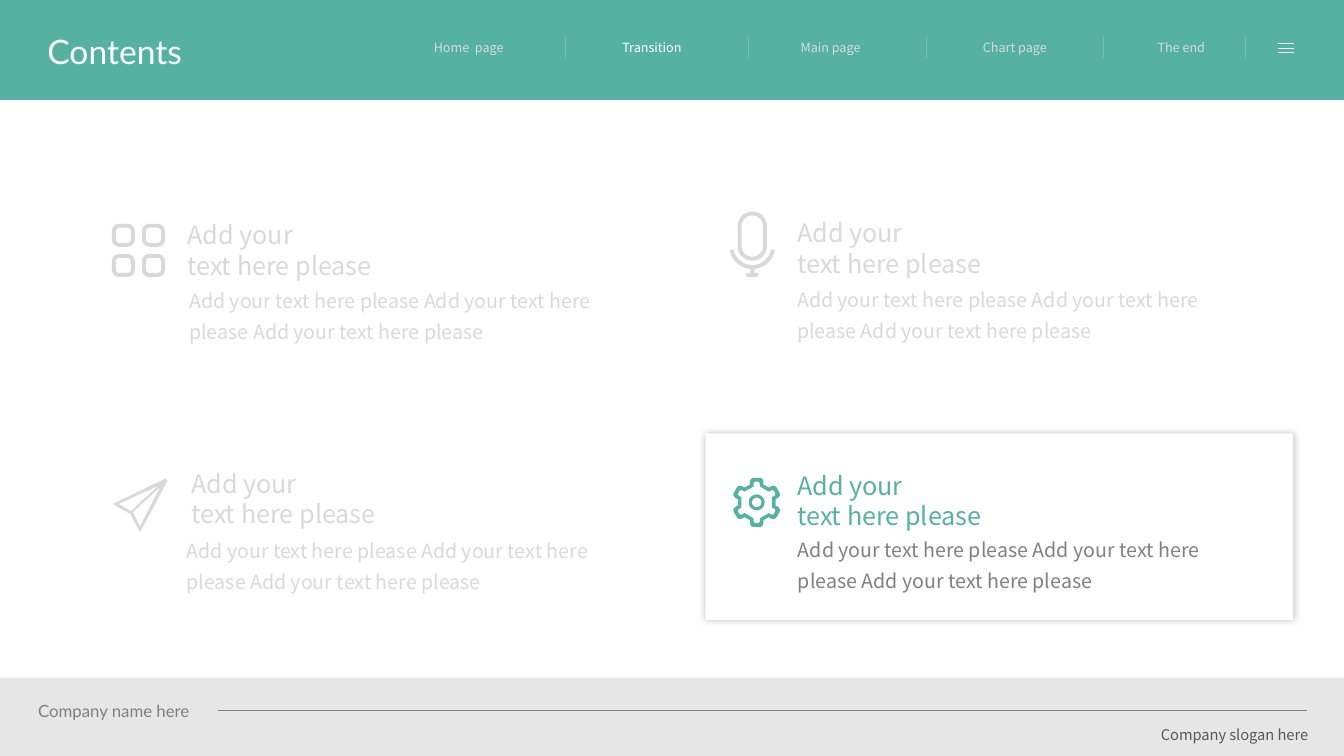
"""Build the Contents slide with four icon cards, a navigation bar and a footer."""
from math import cos, radians, sin

from lxml.etree import SubElement
from pptx import Presentation
from pptx.dml.color import RGBColor
from pptx.enum.shapes import MSO_CONNECTOR, MSO_SHAPE
from pptx.enum.text import MSO_ANCHOR, MSO_AUTO_SIZE, PP_ALIGN
from pptx.oxml.ns import qn
from pptx.util import Cm, Pt

TEAL = RGBColor(0x55, 0xB2, 0xA0)
PALE_TEAL = RGBColor(0x78, 0xC2, 0xB4)
WHITE = RGBColor(0xFF, 0xFF, 0xFF)
SILVER = RGBColor(0xD9, 0xD9, 0xD9)
LIGHT = RGBColor(0xE6, 0xE6, 0xE6)
GREY = RGBColor(0x80, 0x80, 0x80)
DARK = RGBColor(0x59, 0x59, 0x59)
SANS, LATO = "Noto Sans CJK SC", "Lato"
SLIDE_W, SLIDE_H = 33.87, 19.05
BAND_H, FOOTER_TOP = 2.52, 17.09

HEADING = ["Add your", "text here please"]
BODY = ["Add your text here please Add your text here please Add your text here please"]
CARDS = [
    ("grid", (4.47, 5.41, 9.7), (4.52, 6.99, 11.68), SILVER, SILVER),
    ("microphone", (19.84, 5.36, 5.69), (19.84, 6.96, 11.25), SILVER, SILVER),
    ("plane", (4.57, 11.68, 5.69), (4.45, 13.28, 11.25), SILVER, SILVER),
    ("gear", (19.84, 11.73, 5.69), (19.86, 13.26, 11.71), TEAL, GREY),
]
NAV = [
    ("Home  page", 9.98, 3.66, 14.25),
    ("Transition", 14.73, 3.4, 18.85),
    ("Main page", 19.23, 3.4, 23.34),
    ("Chart page", 23.72, 3.71, 27.81),
    ("The end", 28.55, 2.44, 31.39),
]
ACTIVE = "Transition"
PLANE = [
    [(2.84, 12.7), (4.17, 12.06), (4.22, 12.12), (3.53, 13.41), (3.28, 12.95)],
    [(3, 12.7), (3.99, 12.24), (3.3, 12.88)],
    [(3.53, 13.26), (3.35, 12.9), (4.04, 12.27)],
]
TOOTH_OUTER = [(0.08, -0.62), (0.14, -0.6), (0.17, -0.53), (0.17, -0.45)]
TOOTH_INNER = [(0.05, -0.52), (0.08, -0.48), (0.08, -0.4)]


def arc(cx, cy, r, start, end, steps=10):
    """Return points along an arc, with angles in degrees."""
    angles = [radians(start + (end - start) * i / steps) for i in range(steps + 1)]
    return [(cx + r * cos(a), cy + r * sin(a)) for a in angles]


def rounded(x, y, w, h, r):
    """Return the outline of a rounded rectangle."""
    corners = [(x + w - r, y + h - r), (x + r, y + h - r), (x + r, y + r), (x + w - r, y + r)]
    return [p for i, c in enumerate(corners) for p in arc(*c, r, 90 * i, 90 * i + 90)]


def ring(x, y, w, h, r, inset=0.1):
    """Return the two outlines of a rounded frame."""
    inner = rounded(x + inset, y + inset, w - 2 * inset, h - 2 * inset, r - inset)
    return [rounded(x, y, w, h, r), inner]


def cog(cx, cy, half_tooth):
    """Return a six-toothed outline built from half of one tooth."""
    tooth = [(-x, y) for x, y in reversed(half_tooth)] + half_tooth
    turns = [radians(60 * i) for i in range(6)]
    return [(cx + x * cos(a) - y * sin(a), cy + x * sin(a) + y * cos(a))
            for a in turns for x, y in tooth]


def icon_outlines():
    """Return the outlines of every icon by name."""
    mid, cy = 18.96, 6.2
    gear = 19.07, 12.66
    cradle = arc(mid, cy, 0.58, 10, 170, 24) + arc(mid, cy, 0.48, 170, 10, 24)
    stem = [(mid - 0.05, 6.78), (mid + 0.05, 6.78), (mid + 0.05, 6.88), (mid - 0.05, 6.88)]
    return {
        "grid": [o for x in (2.82, 3.58) for y in (5.64, 6.4)
                 for o in ring(x, y, 0.58, 0.58, 0.19)],
        "microphone": ring(mid - 0.37, 5.33, 0.74, 1.24, 0.37)
        + [cradle, stem, rounded(mid - 0.16, 6.88, 0.32, 0.1, 0.05)],
        "plane": PLANE,
        "gear": [cog(*gear, TOOTH_OUTER), cog(*gear, TOOTH_INNER),
                 arc(*gear, 0.2, 0, 360, 32), arc(*gear, 0.12, 0, 360, 32)],
    }


def add_icon(s, outlines, color):
    """Draw outlines as one filled freeform."""
    paths = [[(Cm(x), Cm(y)) for x, y in outline] for outline in outlines]
    fb = s.shapes.build_freeform(*paths[0][0])
    for i, pts in enumerate(paths):
        if i:
            fb.move_to(*pts[0])
        fb.add_line_segments(pts[1:], close=True)
    paint(fb.convert_to_shape(), color)


def paint(sp, color):
    """Give a shape a flat fill without line or shadow."""
    sp.fill.solid()
    sp.fill.fore_color.rgb = color
    sp.line.fill.background()
    sp.shadow.inherit = False


def add_rect(s, x, y, w, h, color):
    """Add a flat rectangle."""
    sp = s.shapes.add_shape(MSO_SHAPE.RECTANGLE, Cm(x), Cm(y), Cm(w), Cm(h))
    paint(sp, color)
    return sp


def add_glow(sp):
    """Add a soft grey shadow around a shape."""
    effects = sp.element.spPr.find(qn("a:effectLst"))
    shadow = SubElement(effects, qn("a:outerShdw"), blurRad=str(Pt(5)), dist="0", dir="0",
                        algn="ctr", rotWithShape="0")
    SubElement(shadow, qn("a:srgbClr"), val="BFBFBF")


def add_line(s, x1, y1, x2, y2, color):
    """Add a thin straight line."""
    ln = s.shapes.add_connector(MSO_CONNECTOR.STRAIGHT, Cm(x1), Cm(y1), Cm(x2), Cm(y2))
    ln.line.color.rgb = color
    ln.line.width = Pt(0.5)
    SubElement(ln.element.spPr, qn("a:effectLst"))


def write(sp, lines, size, color, font=SANS, align=PP_ALIGN.LEFT, spacing=None):
    """Fill a shape with formatted paragraphs."""
    tf = sp.text_frame
    tf.word_wrap = True
    tf.auto_size = MSO_AUTO_SIZE.SHAPE_TO_FIT_TEXT
    tf.vertical_anchor = MSO_ANCHOR.TOP
    for i, line in enumerate(lines):
        p = tf.add_paragraph() if i else tf.paragraphs[0]
        p.alignment = align
        if spacing:
            p.line_spacing = spacing
        r = p.add_run()
        r.text = line
        r.font.name, r.font.size, r.font.color.rgb = font, Pt(size), color


def add_text(s, x, y, w, h, lines, size, color, **fmt):
    """Add a text box."""
    write(s.shapes.add_textbox(Cm(x), Cm(y), Cm(w), Cm(h)), lines, size, color, **fmt)


def main():
    """Build and save the slide."""
    prs = Presentation()
    prs.slide_width, prs.slide_height = Cm(SLIDE_W), Cm(SLIDE_H)
    s = prs.slides.add_slide(prs.slide_layouts[5])

    add_glow(add_rect(s, 17.78, 10.92, 14.81, 4.7, WHITE))
    add_rect(s, 0, FOOTER_TOP, SLIDE_W, SLIDE_H - FOOTER_TOP, LIGHT)
    band = add_rect(s, 0, 0, SLIDE_W, BAND_H, TEAL)

    title = s.shapes.title
    title.left, title.top, title.width, title.height = Cm(0.94), Cm(0.66), Cm(6.48), Cm(1.27)
    write(title, ["Contents"], 24, WHITE, font=LATO)
    band.element.addnext(title.element)

    icons = icon_outlines()
    for name, head, body, accent, color in CARDS:
        add_icon(s, icons[name], accent)
        add_text(s, *head, 1.8, HEADING, 18, accent)
        add_text(s, *body, 1.73, BODY, 14, color, spacing=1.3)

    for label, x, w, divider in NAV:
        color = WHITE if label == ACTIVE else SILVER
        add_text(s, x, 0.89, w, 0.64, [label], 9, color, align=PP_ALIGN.CENTER)
        add_line(s, divider, 0.94, divider, 1.45, PALE_TEAL)
    for i in range(3):
        y = 1.09 + 0.12 * i
        add_line(s, 32.21, y, 32.61, y, WHITE)

    add_line(s, 5.49, 17.91, 32.94, 17.91, GREY)
    add_text(s, 0.71, 17.53, 5.49, 0.76, ["Company name here"], 12, GREY, font=LATO)
    add_text(s, 27.53, 18.16, 5.69, 0.71, ["Company slogan here"], 10.5, DARK,
             align=PP_ALIGN.RIGHT)
    prs.save("out.pptx")


if __name__ == "__main__":
    main()
